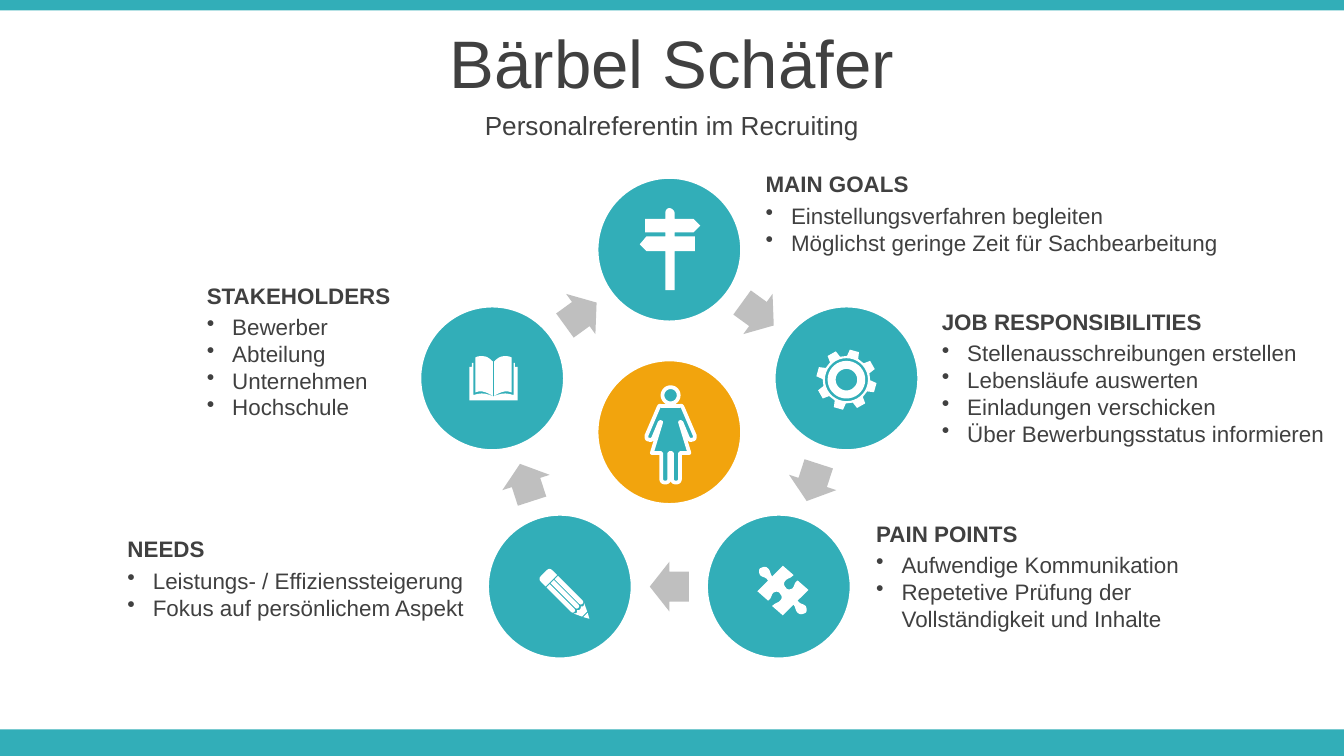
import math

import pptx
import pptx.chart.data
import pptx.dml.color
import pptx.enum.shapes
import pptx.enum.text
import pptx.oxml
import pptx.oxml.ns
import pptx.util
from pptx.util import Cm

# Content: sectors run clockwise from the top of the ring; box = left, top, width in cm
NAME = "Bärbel Schäfer"
ROLE = "Personalreferentin im Recruiting"
SECTORS = [
    {"heading": "MAIN GOALS", "icon": "signpost", "box": (14.22, 3.1, 9.4),
     "points": ["Einstellungsverfahren begleiten",
                "Möglichst geringe Zeit für Sachbearbeitung"]},
    {"heading": "JOB RESPONSIBILITIES", "icon": "gear", "box": (17.55, 5.7, 7.85),
     "points": ["Stellenausschreibungen erstellen", "Lebensläufe auswerten",
                "Einladungen verschicken", "Über Bewerbungsstatus informieren"]},
    {"heading": "PAIN POINTS", "icon": "puzzle", "box": (16.31, 9.7, 6.45),
     "points": ["Aufwendige Kommunikation",
                "Repetetive Prüfung der Vollständigkeit und Inhalte"]},
    {"heading": "NEEDS", "icon": "pencil", "box": (2.16, 10, 7.54),
     "points": ["Leistungs- / Effizienssteigerung", "Fokus auf persönlichem Aspekt"]},
    {"heading": "STAKEHOLDERS", "icon": "book", "box": (3.66, 5.2, 4.1),
     "points": ["Bewerber", "Abteilung", "Unternehmen", "Hochschule"]},
]

THEME = {
    "font": "Arial", "name": 36, "role": 14, "body": 12,
    "text": "404040", "teal": "32AEB8", "orange": "F2A40D",
    "arrow": "BFBFBF", "white": "FFFFFF", "outline": 2,
}

# Layout in cm
WIDTH, HEIGHT = 25.4, 14.29
RING_X, RING_Y, RING_R = 12.65, 8.24, 3.52
PERSONA_Y = 8.17
DISC = 2.75
ARROW_W, ARROW_H = 0.74, 0.94
HEADING_H, POINTS_DROP, LINE_H, INSETS = 0.76, 0.59, 0.51, 0.25
INDENT = 0.48
ICON_GRID = Cm(2.54) / 100
STEP = 360 / len(SECTORS)


# Icon outlines on the icon grid, measured from the centre of the disc
def polar(radius, degrees):
    angle = math.radians(degrees)
    return radius * math.sin(angle), -radius * math.cos(angle)


def circle(radius, x=0, y=0):
    return [(x + dx, y + dy) for dx, dy in (polar(radius, a) for a in range(0, 360, 10))]


def trace(*segments):
    """Two numbers are a corner; six are a cubic curve from the last point."""
    points = []
    for segment in segments:
        if len(segment) == 2:
            points.append(segment)
            continue
        (x0, y0), (x1, y1, x2, y2, x3, y3) = points[-1], segment
        for t in (0.2, 0.4, 0.6, 0.8, 1):
            a, b, c, d = (1 - t) ** 3, 3 * t * (1 - t) ** 2, 3 * t * t * (1 - t), t ** 3
            points.append((a * x0 + b * x1 + c * x2 + d * x3,
                           a * y0 + b * y1 + c * y2 + d * y3))
    return points


def mirror(points):
    return [(-x, y) for x, y in reversed(points)]


def block(left, top, right, bottom):
    return [(left, top), (right, top), (right, bottom), (left, bottom)]


signpost = trace(
    (-3, -27), (-3, -29, -2, -31, 0, -31), (2, -31, 4, -29, 4, -27), (4, -23),
    (18, -23), (23, -18), (18, -13), (4, -13), (4, -10), (19, -10), (19, 1), (4, 1),
    (4, 30), (-3, 30), (-3, 1), (-17, 1), (-22, -4), (-17, -10), (-3, -10),
    (-3, -13), (-18, -13), (-18, -23), (-3, -23))

gear_rim = [polar(radius, 15.5 + 45 * tooth + turn) for tooth in range(8)
            for radius, turn in ((17.7, -14), (22.5, -9), (22.5, 9), (17.7, 14))]

half_puzzle = trace(
    (0, -18.5), (-8, -10.5), (-10, -13.5, -9, -14.5, -11, -16.5),
    (-13, -18.5, -15, -17.5, -17, -16.5), (-18, -15.5, -18, -13.5, -17, -11.5),
    (-15, -9.5, -13, -10.5, -11, -7.5), (-19, 0.5), (-11, 7.5),
    (-8, 5.5, -9, 3.5, -7, 1.5), (-5, 0.5, -3, 0.5, -2, 2.5),
    (-1, 3.5, 0, 5.5, -2, 7.5), (-4, 9.5, -5, 8.5, -8, 11.5))
puzzle = half_puzzle + [(-x, -y) for x, y in half_puzzle]

pencil_cap = trace((-6, -16), (-6, -21), (-6, -23, -5, -24, -3, -24), (3, -24),
                   (5, -24, 6, -23, 6, -21), (6, -16))
pencil_body = [trace((x - 1.7, -15), (x + 1.7, -15), (x + 1.7, 11),
                     (x + 1.7, 13, x - 1.7, 13, x - 1.7, 11)) for x in (-4.3, 0, 4.3)]
pencil_wood = trace((-5.5, 13), (-4, 14.5, -3, 14.5, -2, 13), (-1, 14.5, 1, 14.5, 2, 13),
                    (3, 14.5, 4, 14.5, 5.5, 13), (2.7, 19), (-2.7, 19))
pencil_tip = [(-2.3, 20), (2.3, 20), (0, 24)]

page = trace((0.5, 13), (0.5, -12.5), (3, -15, 5, -16.5, 8, -16.5),
             (10, -16.5, 12, -16.5, 13.5, -15.5), (13.5, 10.5), (9, 8.5, 5, 10.5, 0.5, 13))
half_cover = trace((0, 13.5), (6, 11, 9, 10.5, 15, 12.5), (15, -11.5), (16, -11.5),
                   (16, -8.5), (18, -8.5), (18, 16.5), (0, 16.5))

half_woman = trace(
    (0, -21.5), (6, -21.5), (8, -21.5, 8, -22.5, 9, -20.5), (18, 0.5),
    (18, 2.5, 18, 3.5, 16, 3.5), (15, 4.5, 14, 3.5, 13, 2.5), (8, -9.5), (7, -9.5),
    (14, 13.5), (7, 13.5), (7, 32.5), (7, 34.5, 6, 35.5, 4, 35.5),
    (2, 35.5, 1, 34.5, 1, 32.5), (1, 13.5))

ICONS = {  # outlines, offset from the disc centre, rotation
    "signpost": ([signpost], (0, 0), 0),
    "gear": ([gear_rim, circle(16), circle(14), circle(8)], (0, 1), 0),
    "puzzle": ([puzzle], (3, 3), 0),
    "pencil": ([pencil_cap, *pencil_body, pencil_wood, pencil_tip], (5, 7), -45),
    "book": ([half_cover + mirror(half_cover), page, mirror(page)], (1, 0), 0),
    "woman": ([half_woman + mirror(half_woman), circle(6, 0, -29.5)], (1, 2), 0),
}

deck = pptx.Presentation()
deck.slide_width, deck.slide_height = Cm(WIDTH), Cm(HEIGHT)
slide = deck.slides.add_slide(deck.slide_layouts[5])
shapes = slide.shapes
KIND = pptx.enum.shapes.MSO_SHAPE
ALIGN = pptx.enum.text.PP_ALIGN
ANCHOR = pptx.enum.text.MSO_ANCHOR


def colour(key):
    return pptx.dml.color.RGBColor.from_string(THEME[key])


def paint(shape, fill, outlined=False):
    shape.shadow.inherit = False
    shape.fill.solid()
    shape.fill.fore_color.rgb = colour(fill)
    if outlined:
        shape.line.color.rgb = colour("white")
        shape.line.width = pptx.util.Pt(THEME["outline"])
    else:
        shape.line.fill.background()
    return shape


def add_centred(kind, x, y, width, height, fill, outlined=False):
    shape = shapes.add_shape(kind, Cm(x - width / 2), Cm(y - height / 2), Cm(width), Cm(height))
    return paint(shape, fill, outlined)


def add_icon(name, x, y, fill="white", outlined=False):
    outlines, (dx, dy), rotation = ICONS[name]

    def place(point):
        return (round(Cm(x) + (point[0] + dx) * ICON_GRID),
                round(Cm(y) + (point[1] + dy) * ICON_GRID))

    builder = shapes.build_freeform(*place(outlines[0][0]))
    for index, outline in enumerate(outlines):
        if index:
            builder.move_to(*place(outline[0]))
        builder.add_line_segments([place(point) for point in outline[1:]], close=True)
    icon = paint(builder.convert_to_shape(), fill, outlined)
    icon.rotation = rotation


def write(lines, left, top, width, height, size="body", bold=False, align=ALIGN.LEFT,
          anchor=ANCHOR.TOP, bullets=False, holder=None):
    holder = holder or shapes.add_textbox(0, 0, 0, 0)
    holder.left, holder.top, holder.width, holder.height = map(Cm, (left, top, width, height))
    frame = holder.text_frame
    frame.text = "\n".join(lines)
    frame.word_wrap = True
    frame.auto_size = pptx.enum.text.MSO_AUTO_SIZE.NONE
    frame.vertical_anchor = anchor
    for paragraph in frame.paragraphs:
        if bullets:
            properties = paragraph._p.get_or_add_pPr()
            properties.set("marL", str(Cm(INDENT)))
            properties.set("indent", str(-Cm(INDENT)))
            properties.append(pptx.oxml.parse_xml(
                f'<a:buChar {pptx.oxml.ns.nsdecls("a")} char="•"/>'))
        paragraph.alignment = align
        paragraph.font.name = THEME["font"]
        paragraph.font.size = pptx.util.Pt(THEME[size])
        paragraph.font.bold = bold
        paragraph.font.color.rgb = colour("text")


# Bars, name and role
add_centred(KIND.RECTANGLE, WIDTH / 2, HEIGHT - 0.25, WIDTH, 0.5, "teal")
add_centred(KIND.RECTANGLE, WIDTH / 2, 0.1, WIDTH, 0.2, "teal")
centred = {"align": ALIGN.CENTER, "anchor": ANCHOR.MIDDLE}
write([NAME], 0, 0.36, WIDTH, 1.6, size="name", holder=shapes.title, **centred)
write([ROLE], 0, 1.96, WIDTH, 0.79, size="role", **centred)

# Ring of discs, each followed by an arrow to the next, with its texts
for index, sector in enumerate(SECTORS):
    dx, dy = polar(RING_R, index * STEP)
    add_centred(KIND.OVAL, RING_X + dx, RING_Y + dy, DISC, DISC, "teal", outlined=True)
    add_icon(sector["icon"], RING_X + dx, RING_Y + dy)

    halfway = (index + 0.5) * STEP
    dx, dy = polar(RING_R * math.cos(math.radians(STEP / 2)), halfway)
    arrow = add_centred(KIND.RIGHT_ARROW, RING_X + dx, RING_Y + dy, ARROW_W, ARROW_H, "arrow")
    arrow.adjustments[0] = 0.6
    arrow.rotation = halfway

    left, top, width = sector["box"]
    write([sector["heading"]], left, top, width, HEADING_H, bold=True)
    write(sector["points"], left, top + POINTS_DROP, width,
          len(sector["points"]) * LINE_H + INSETS, bullets=True)

# Persona in the middle
add_centred(KIND.OVAL, RING_X, PERSONA_Y, DISC, DISC, "orange", outlined=True)
add_icon("woman", RING_X, PERSONA_Y, fill="teal", outlined=True)

deck.save("out.pptx")
